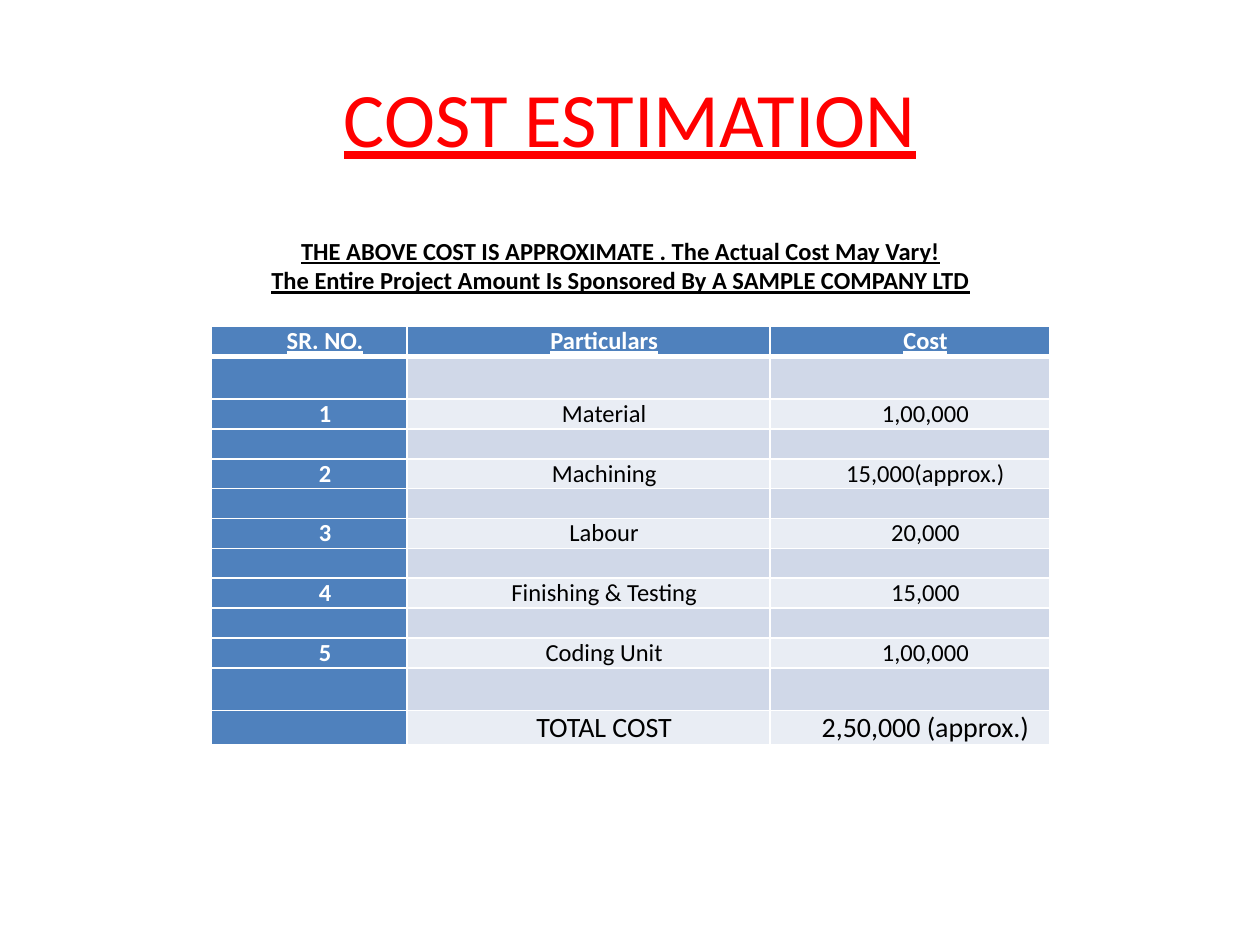
import lxml.etree
import pptx
import pptx.dml.color
import pptx.enum.text
import pptx.oxml.ns
import pptx.util

Inches = pptx.util.Inches
Pt = pptx.util.Pt
qn = pptx.oxml.ns.qn
RGBColor = pptx.dml.color.RGBColor

RED = RGBColor(0xFF, 0x00, 0x00)
BLACK = RGBColor(0x00, 0x00, 0x00)
WHITE = RGBColor(0xFF, 0xFF, 0xFF)
BLUE = RGBColor(0x4F, 0x81, 0xBD)
DARK_BAND = RGBColor(0xD0, 0xD8, 0xE8)
LIGHT_BAND = RGBColor(0xE9, 0xED, 0xF4)


def write(paragraph, text, color, first_indent=Inches(0.25), **formats):
    paragraph.alignment = pptx.enum.text.PP_ALIGN.CENTER
    paragraph._p.get_or_add_pPr().set("indent", str(first_indent))
    run = paragraph.add_run()
    run.text = text
    run.font.color.rgb = color
    for name, value in {"name": "Calibri", "size": Pt(14), **formats}.items():
        setattr(run.font, name, value)


def add_borders(cell, widths):
    properties = cell._tc.get_or_add_tcPr()
    for side, width in widths.items():
        line = lxml.etree.SubElement(properties, qn("a:" + side), w=str(Pt(width)))
        fill = lxml.etree.SubElement(line, qn("a:solidFill"))
        lxml.etree.SubElement(fill, qn("a:srgbClr"), val=str(WHITE))


presentation = pptx.Presentation()
presentation.slide_width = Inches(10)
presentation.slide_height = Inches(7.5)
slide = presentation.slides.add_slide(presentation.slide_layouts[5])

title = slide.shapes.title
title_place = {"left": 0.5, "top": 0.3, "width": 9, "height": 1.25}
for name, value in title_place.items():
    setattr(title, name, Inches(value))
title.text_frame.vertical_anchor = pptx.enum.text.MSO_ANCHOR.MIDDLE
write(title.text_frame.paragraphs[0], "COST ESTIMATION", RED,
      first_indent=0, size=Pt(44), underline=True)

items = [
    ("1", "Material", "1,00,000"),
    ("2", "Machining", "15,000(approx.)"),
    ("3", "Labour", "20,000"),
    ("4", "Finishing & Testing", "15,000"),
    ("5", "Coding Unit", "1,00,000"),
    ("", "TOTAL COST", "2,50,000 (approx.)"),
]
rows = [("SR. NO.", "Particulars", "Cost")]
for item in items:
    rows += [("", "", ""), item]
total_row = len(rows) - 1

table = slide.shapes.add_table(
    len(rows), 3, Inches(1.68), Inches(2.59), Inches(6.65), Inches(3.27)).table
table.first_col = True
for column, width in zip(table.columns, (1.55, 2.88, 2.22)):
    column.width = Inches(width)

row_heights = {1: 0.34, total_row - 1: 0.34, total_row: 0.26}
cell_margins = {"margin_left": 0.07, "margin_right": 0.07,
                "margin_top": 0, "margin_bottom": 0}
for row_index, texts in enumerate(rows):
    table.rows[row_index].height = Inches(row_heights.get(row_index, 0.23))
    is_header = row_index == 0
    for column_index, text in enumerate(texts):
        cell = table.cell(row_index, column_index)
        for name, value in cell_margins.items():
            setattr(cell, name, Inches(value))
        add_borders(cell, {"lnL": 1, "lnR": 1,
                           "lnT": 3 if row_index == 1 else 1,
                           "lnB": 3 if is_header else 1})
        is_heading = is_header or column_index == 0
        band = DARK_BAND if row_index % 2 else LIGHT_BAND
        cell.fill.solid()
        cell.fill.fore_color.rgb = BLUE if is_heading else band
        paragraph = cell.text_frame.paragraphs[0]
        if text:
            write(paragraph, text, WHITE if is_heading else BLACK,
                  size=Pt(16 if row_index == total_row else 14),
                  bold=is_heading, underline=is_header)
        else:
            lxml.etree.SubElement(paragraph._p, qn("a:endParaRPr"), sz="1400")

note = slide.shapes.add_textbox(Inches(1.79), Inches(1.68), Inches(6.02), Inches(0.71))
note_format = {"word_wrap": False, "margin_top": Inches(0.19),
               "vertical_anchor": pptx.enum.text.MSO_ANCHOR.MIDDLE}
for name, value in note_format.items():
    setattr(note.text_frame, name, value)
note_lines = [
    "THE ABOVE COST IS APPROXIMATE . The Actual Cost May Vary!",
    "The Entire Project Amount Is Sponsored By A SAMPLE COMPANY LTD",
]
for index, text in enumerate(note_lines):
    paragraph = note.text_frame.add_paragraph() if index else note.text_frame.paragraphs[0]
    write(paragraph, text, BLACK, bold=True, underline=True)

presentation.save("out.pptx")
